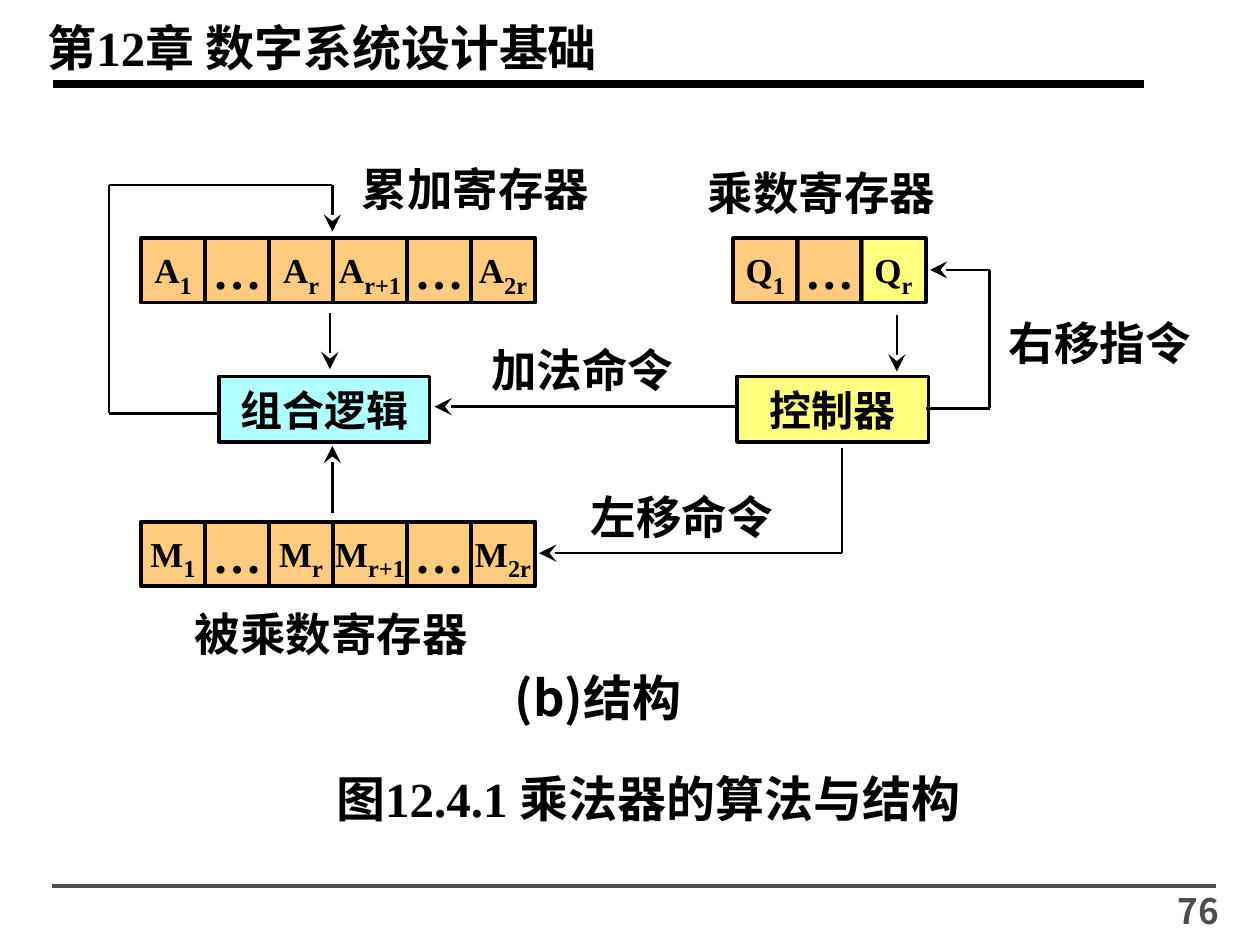
import pptx
import pptx.dml.color
import pptx.enum.shapes
import pptx.enum.text
import pptx.oxml.ns
import pptx.oxml.xmlchemy
import pptx.util

Cm = pptx.util.Cm
Pt = pptx.util.Pt
RGBColor = pptx.dml.color.RGBColor
ALIGN = pptx.enum.text.PP_ALIGN
qn = pptx.oxml.ns.qn

BLACK = RGBColor(0x00, 0x00, 0x00)
GRAY = RGBColor(0x4D, 0x4D, 0x4D)
ORANGE = RGBColor(0xFF, 0x99, 0x00)
CYAN = RGBColor(0x66, 0xFF, 0xFF)
YELLOW = RGBColor(0xFF, 0xFF, 0x00)
SERIF = "Times New Roman"
SANS = "Noto Sans CJK SC"

CELL = 1.3
CELL_PITCH = 1.29
WIDE_EXTRA = 0.2


def set_attrs(obj, values):
    for name, value in values.items():
        setattr(obj, name, value)


def add_xml(parent, tag, **attrs):
    el = pptx.oxml.xmlchemy.OxmlElement(tag)
    for name, value in attrs.items():
        el.set(name, value)
    parent.append(el)


def add_run(p, text, size, font=SERIF, color=BLACK, baseline=None):
    r = p.add_run()
    r.text = text
    set_attrs(r.font, {"size": Pt(size), "bold": True, "name": font})
    r.font.color.rgb = color
    rPr = r._r.get_or_add_rPr()
    add_xml(rPr, "a:ea", typeface=SANS)
    if baseline:
        rPr.set("baseline", str(baseline))


def add_text(s, box, text, size, font=SERIF, color=BLACK, align=ALIGN.LEFT):
    sp = s.shapes.add_textbox(*map(Cm, box))
    sp.text_frame.word_wrap = True
    p = sp.text_frame.paragraphs[0]
    p.alignment = align
    add_run(p, text, size, font, color)


def add_box(s, box, fill, text, size, subscript=""):
    rect = pptx.enum.shapes.MSO_SHAPE.RECTANGLE
    sp = s.shapes.add_shape(rect, *map(Cm, box))
    sp.shadow.inherit = False
    sp.fill.solid()
    sp.fill.fore_color.rgb = fill
    color = sp._element.spPr.find(qn("a:solidFill")).find(qn("a:srgbClr"))
    add_xml(color, "a:alpha", val="50000")
    sp.line.color.rgb = BLACK
    sp.line.width = Pt(2.25)
    tf = sp.text_frame
    set_attrs(tf, {"word_wrap": False,
                   "vertical_anchor": pptx.enum.text.MSO_ANCHOR.MIDDLE})
    p = tf.paragraphs[0]
    p.alignment = ALIGN.CENTER
    add_run(p, text, size)
    if subscript:
        add_run(p, subscript, 24, baseline=-25000)


def add_register(s, left, top, letter, subscripts, last_fill=ORANGE):
    for i, subscript in enumerate(subscripts):
        extra = WIDE_EXTRA if subscript == "r+1" else 0
        fill = last_fill if i == len(subscripts) - 1 else ORANGE
        box = (left, top, CELL + extra, CELL)
        if subscript == "…":
            add_box(s, box, fill, "…", 28)
        else:
            add_box(s, box, fill, letter, 20, subscript)
        left += CELL_PITCH + extra


def add_line(s, start, end, width=1.5, color=BLACK, arrow=False):
    straight = pptx.enum.shapes.MSO_CONNECTOR.STRAIGHT
    sp = s.shapes.add_connector(straight, *map(Cm, start + end))
    sp.line.color.rgb = color
    sp.line.width = Pt(width)
    spPr = sp._element.spPr
    if arrow:
        add_xml(spPr.find(qn("a:ln")), "a:tailEnd", type="stealth",
                w="lg", len="lg")
    add_xml(spPr, "a:effectLst")


def add_route(s, points):
    last = len(points) - 2
    for i, (start, end) in enumerate(zip(points, points[1:])):
        add_line(s, start, end, arrow=i == last)


def main():
    prs = pptx.Presentation()
    prs.slide_width, prs.slide_height = Cm(25.4), Cm(19.05)
    s = prs.slides.add_slide(prs.slide_layouts[6])

    add_text(s, (0.71, 0.23, 15.85, 1.45), "第12章 数字系统设计基础", 28)
    add_line(s, (1.07, 1.7), (23.06, 1.7), 4.5)
    add_line(s, (1.04, 17.86), (24.51, 17.86), 2, GRAY)
    add_text(s, (6.53, 15.37, 13.2, 2.64), "图12.4.1 乘法器的算法与结构", 28)
    add_text(s, (10.13, 13.34, 5.1, 1.45), "(b)结构", 28, SANS)

    long_subscripts = ("1", "…", "r", "r+1", "…", "2r")
    add_register(s, 2.84, 4.8, "A", long_subscripts)
    add_register(s, 2.84, 10.52, "M", long_subscripts)
    add_register(s, 14.78, 4.8, "Q", ("1", "…", "r"), YELLOW)
    add_box(s, (4.42, 7.59, 4.24, 1.32), CYAN, "组合逻辑", 24)
    add_box(s, (14.86, 7.59, 3.86, 1.32), YELLOW, "控制器", 24)

    routes = (
        ((4.39, 8.33), (2.2, 8.33), (2.2, 3.73), (6.7, 3.73), (6.7, 4.67)),
        ((14.86, 8.2), (8.76, 8.2)),
        ((6.65, 6.3), (6.65, 7.44)),
        ((18.08, 6.35), (18.08, 7.49)),
        ((18.67, 8.23), (19.95, 8.23), (19.95, 5.44), (18.75, 5.44)),
        ((6.7, 10.34), (6.7, 8.99)),
        ((16.97, 9.04), (16.97, 11.15), (10.87, 11.15)),
    )
    for points in routes:
        add_route(s, points)

    labels = (
        (7.04, 3.12, 5.9, "累加寄存器"),
        (14.02, 3.2, 5.64, "乘数寄存器"),
        (9.65, 6.78, 4.67, "加法命令"),
        (3.68, 12.09, 7.34, "被乘数寄存器"),
        (11.66, 9.73, 4.2, "左移命令"),
        (20.09, 6.22, 4.55, "右移指令"),
    )
    for left, top, width, text in labels:
        add_text(s, (left, top, width, 1.37), text, 26)

    add_text(s, (21.29, 17.81, 3.53, 0.99), "76", 20, SANS, GRAY, ALIGN.RIGHT)
    prs.save("out.pptx")


if __name__ == "__main__":
    main()
